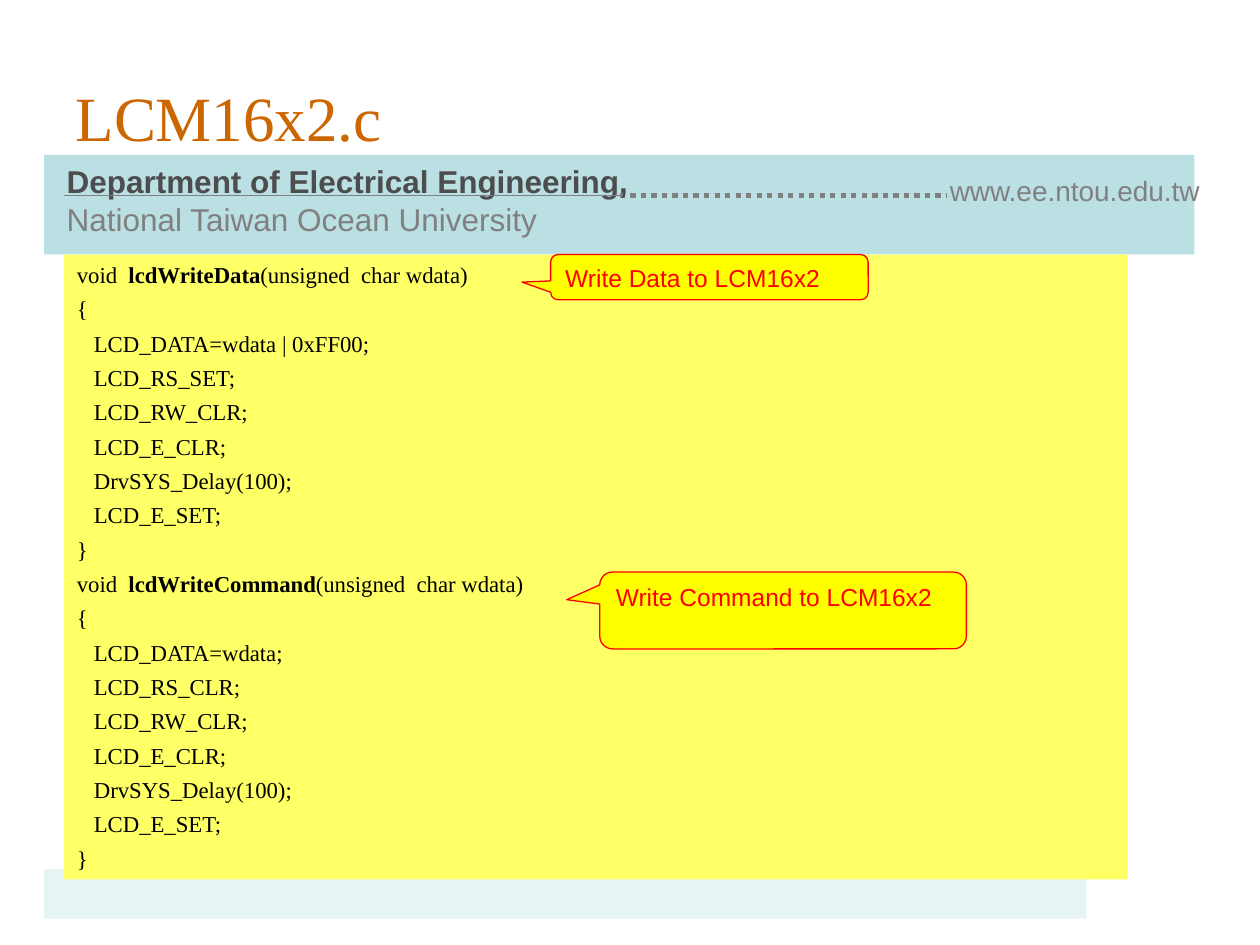
from lxml.etree import SubElement
from pptx import Presentation
from pptx.dml.color import RGBColor
from pptx.enum.dml import MSO_LINE
from pptx.enum.shapes import MSO_CONNECTOR, MSO_SHAPE
from pptx.enum.text import MSO_ANCHOR, MSO_AUTO_SIZE, PP_ALIGN
from pptx.oxml.ns import qn
from pptx.util import Inches, Pt

TEAL = RGBColor(0xBB, 0xE0, 0xE3)
PALE = RGBColor(0xE7, 0xF4, 0xF5)
GRAY = RGBColor(0x80, 0x80, 0x80)
DARK = RGBColor(0x4D, 0x4D, 0x4D)
RUST = RGBColor(0xCC, 0x66, 0x00)
LEMON = RGBColor(0xFF, 0xFF, 0x66)
YELLOW = RGBColor(0xFF, 0xFF, 0x00)
RED = RGBColor(0xFF, 0x00, 0x00)
BLACK = RGBColor(0x00, 0x00, 0x00)
SANS = "Arial"
SERIF = "Times New Roman"


def code(name, value, select):
    return [
        ("void  ", name, "(unsigned  char wdata)"),
        "{",
        f"   LCD_DATA={value};",
        f"   LCD_RS_{select};",
        "   LCD_RW_CLR;",
        "   LCD_E_CLR;",
        "   DrvSYS_Delay(100);",
        "   LCD_E_SET;",
        "}",
    ]


CODE = code("lcdWriteData", "wdata | 0xFF00", "SET") + code("lcdWriteCommand", "wdata", "CLR")


def style(font, name, size, color, bold=False):
    font.name = name
    font.size = Pt(size)
    font.color.rgb = color
    font.bold = bold


def place(shape, box):
    shape.left, shape.top, shape.width, shape.height = map(Inches, box)
    tree = shape.element.getparent()
    tree.append(shape.element)


def add_band(slide, box, color):
    band = slide.shapes.add_shape(MSO_SHAPE.RECTANGLE, *map(Inches, box))
    band.shadow.inherit = False
    band.fill.solid()
    band.fill.fore_color.rgb = color
    band.line.fill.background()


def add_rule(slide, start, end, width, dash=None):
    y = Inches(1.55)
    rule = slide.shapes.add_connector(MSO_CONNECTOR.STRAIGHT, Inches(start), y, Inches(end), y)
    rule.line.color.rgb = GRAY
    rule.line.width = Pt(width)
    if dash:
        rule.line.dash_style = dash
    SubElement(rule.element.spPr, qn("a:effectLst"))


def add_label(slide, box, parts, size, wrap=True):
    frame = slide.shapes.add_textbox(*map(Inches, box)).text_frame
    frame.word_wrap = wrap
    for text, color, bold in parts:
        run = frame.paragraphs[0].add_run()
        run.text = text
        style(run.font, SANS, size, color, bold)


def set_title(slide, text):
    title = slide.shapes.title
    place(title, (0.5, 0.3, 9, 1.25))
    frame = title.text_frame
    frame.auto_size = MSO_AUTO_SIZE.NONE
    frame.vertical_anchor = MSO_ANCHOR.MIDDLE
    frame.text = text
    para = frame.paragraphs[0]
    para.alignment = PP_ALIGN.LEFT
    style(para.runs[0].font, SERIF, 36, RUST)


def set_code(slide, lines):
    body = slide.placeholders[1]
    place(body, (0.51, 2.02, 8.44, 4.96))
    body.fill.solid()
    body.fill.fore_color.rgb = LEMON
    frame = body.text_frame
    frame.auto_size = MSO_AUTO_SIZE.NONE
    for num, line in enumerate(lines):
        para = frame.add_paragraph() if num else frame.paragraphs[0]
        props = para._p.get_or_add_pPr()
        props.set("marL", "0")
        props.set("indent", "0")
        SubElement(props, qn("a:buNone"))
        para.space_before = Pt(4 if num else 0)
        parts = (line,) if isinstance(line, str) else line
        for spot, text in enumerate(parts):
            run = para.add_run()
            run.text = text
            style(run.font, SERIF, 13, BLACK, spot == 1)


def add_note(slide, box, tip, text):
    note = slide.shapes.add_shape(MSO_SHAPE.ROUNDED_RECTANGULAR_CALLOUT, *map(Inches, box))
    note.adjustments[0], note.adjustments[1] = tip
    note.shadow.inherit = False
    note.fill.solid()
    note.fill.fore_color.rgb = YELLOW
    note.line.color.rgb = RED
    note.line.width = Pt(0.75)
    frame = note.text_frame
    frame.word_wrap = True
    frame.vertical_anchor = MSO_ANCHOR.TOP
    frame.text = text
    para = frame.paragraphs[0]
    para.alignment = PP_ALIGN.LEFT
    style(para.runs[0].font, SANS, 14, RED)


def main():
    deck = Presentation()
    deck.slide_width, deck.slide_height = Inches(10), Inches(7.5)
    slide = deck.slides.add_slide(deck.slide_layouts[1])
    add_band(slide, (0.35, 6.9, 8.27, 0.39), PALE)
    add_band(slide, (0.35, 1.23, 9.13, 0.79), TEAL)
    add_rule(slide, 4.92, 7.52, 3, MSO_LINE.ROUND_DOT)
    school = [
        ("Department of Electrical Engineering,", DARK, True),
        (" National Taiwan Ocean University", GRAY, False),
    ]
    add_label(slide, (0.43, 1.24, 5.59, 0.7), school, 18)
    add_rule(slide, 4.92, 0.51, 0.75)
    add_label(slide, (7.44, 1.33, 2.22, 0.37), [("www.ee.ntou.edu.tw", GRAY, False)], 16, False)
    set_title(slide, "LCM16x2.c")
    set_code(slide, CODE)
    add_note(slide, (4.37, 2.02, 2.52, 0.36), (-0.59, 0.11), "Write Data to LCM16x2")
    add_note(slide, (4.76, 4.54, 2.91, 0.61), (-0.59, -0.14), "Write Command to LCM16x2")
    deck.save("out.pptx")


if __name__ == "__main__":
    main()
